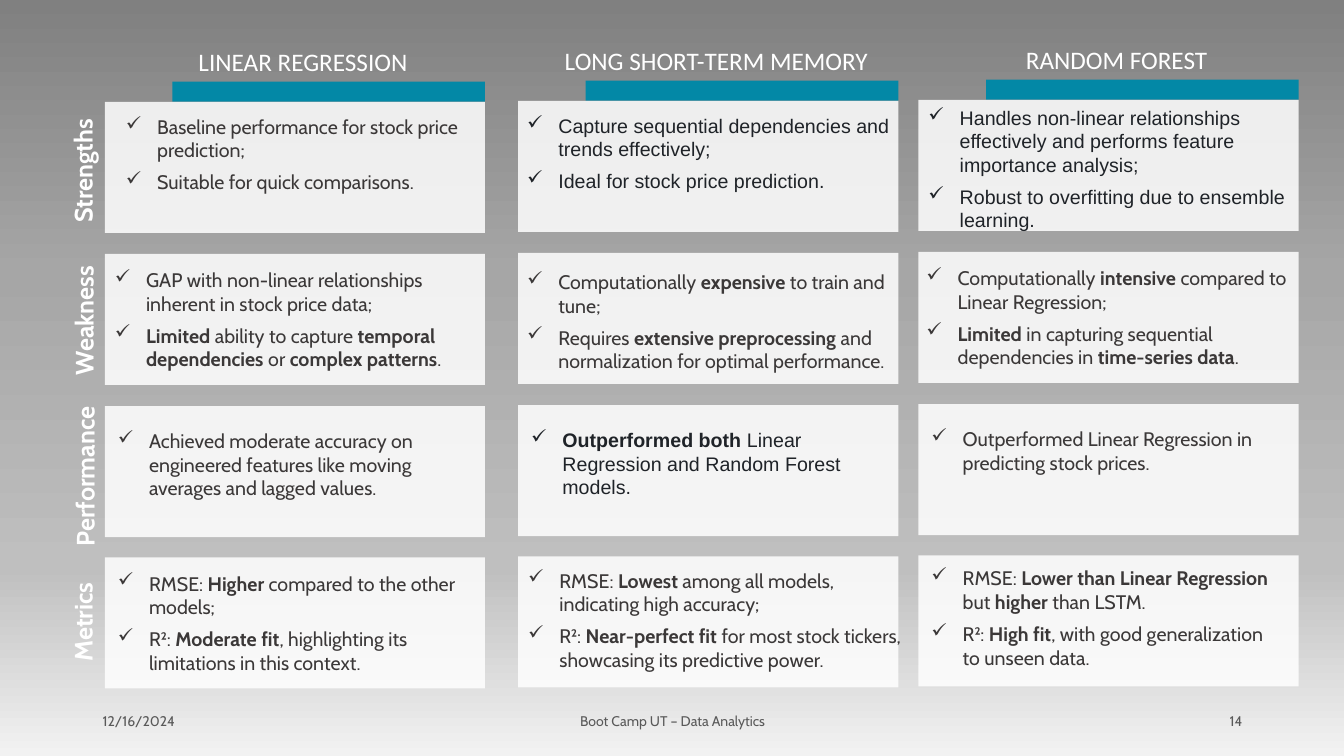
from lxml.etree import SubElement
from pptx import Presentation
from pptx.dml.color import RGBColor
from pptx.enum.shapes import MSO_SHAPE
from pptx.enum.text import MSO_ANCHOR, PP_ALIGN
from pptx.oxml.ns import qn
from pptx.util import Inches, Pt

COLORS = {
    "white": "FFFFFF",
    "teal": "0388A6",
    "body": "3B3838",
    "ink": "1F2328",
    "footer": "595959",
}
BACKGROUND_STOPS = [(0, "808080"), (36, "A6A6A6"), (75, "BFBFBF"), (100, "F2F2F2")]

presentation = Presentation()
presentation.slide_width = Inches(13.33)
presentation.slide_height = Inches(7.5)
slide = presentation.slides.add_slide(presentation.slide_layouts[6])

slide.background.fill.gradient()
gradient = slide._element.find(".//" + qn("a:gradFill"))
stops = gradient.find(qn("a:gsLst"))
for stop in list(stops):
    stops.remove(stop)
for position, color in BACKGROUND_STOPS:
    stop = SubElement(stops, qn("a:gs"), pos=str(position * 1000))
    SubElement(stop, qn("a:srgbClr"), val=color)
gradient.find(qn("a:lin")).set("ang", "5400000")


def add_block(left, top, width, height, color, alpha=None):
    block = slide.shapes.add_shape(
        MSO_SHAPE.RECTANGLE, Inches(left), Inches(top), Inches(width), Inches(height))
    block.shadow.inherit = False
    block.line.fill.background()
    block.fill.solid()
    block.fill.fore_color.rgb = RGBColor.from_string(COLORS[color])
    if alpha:
        tint = block._element.spPr.find(".//" + qn("a:srgbClr"))
        SubElement(tint, qn("a:alpha"), val=str(alpha * 1000))


def add_text(box, paragraphs, size, font, color, align=PP_ALIGN.LEFT, bold=False, bullet=None):
    textbox = slide.shapes.add_textbox(*[Inches(length) for length in box])
    frame = textbox.text_frame
    frame.word_wrap = True
    for index, text in enumerate(paragraphs):
        paragraph = frame.paragraphs[0] if index == 0 else frame.add_paragraph()
        if bullet:
            properties = paragraph._p.get_or_add_pPr()
            properties.set("marL", str(Inches(0.31)))
            properties.set("indent", str(-Inches(0.31)))
            SubElement(properties, qn("a:buChar"), char=bullet)
        if index:
            paragraph.space_before = Pt(6)
        paragraph.alignment = align
        for part, words in enumerate(text.split("**")):
            if words:
                run = paragraph.add_run()
                run.text = words
                run.font.size = Pt(size)
                run.font.name = font
                run.font.bold = bold or part % 2 == 1
                run.font.color.rgb = RGBColor.from_string(COLORS[color])
    return textbox


ROW_TOPS = [1.01, 2.52, 4.03, 5.53]
MODELS = [
    ("LINEAR REGRESSION", 1.04, [
        ((1.15, 1.09, 3.68, 1.19), "Cabin", [
            "Baseline performance for stock price prediction;",
            "Suitable for quick comparisons."]),
        ((1.04, 2.61, 3.85, 1.13), "Cabin", [
            "GAP with non-linear relationships inherent in stock price data;",
            "**Limited** ability to capture **temporal dependencies **or **complex patterns**."]),
        ((1.07, 4.21, 3.54, 0.81), "Cabin", [
            "Achieved moderate accuracy on engineered features like moving averages "
            "and lagged values."]),
        ((1.07, 5.62, 3.74, 1.13), "Cabin", [
            "RMSE: **Higher** compared to the other models;",
            "R²: **Moderate fit**, highlighting its limitations in this context."]),
    ]),
    ("LONG SHORT-TERM MEMORY", 5.14, [
        ((5.13, 1.08, 3.8, 0.89), "Arial", [
            "Capture sequential dependencies and trends effectively;",
            "Ideal for stock price prediction."]),
        ((5.13, 2.63, 3.87, 1.13), "Cabin", [
            "Computationally **expensive** to train and tune;",
            "Requires **extensive preprocessing **and normalization for optimal performance."]),
        ((5.17, 4.2, 3.54, 0.57), "Arial", [
            "**Outperformed both** Linear Regression and Random Forest models."]),
        ((5.14, 5.59, 3.92, 1.13), "Cabin", [
            "RMSE: **Lowest** among all models, indicating high accuracy;",
            "R²: **Near-perfect fit **for most stock tickers, showcasing its predictive power."]),
    ]),
    ("RANDOM FOREST", 9.11, [
        ((9.11, 1, 3.92, 1.36), "Arial", [
            "Handles non-linear relationships effectively and performs feature "
            "importance analysis;",
            "Robust to overfitting due to ensemble learning."]),
        ((9.09, 2.59, 3.87, 1.13), "Cabin", [
            "Computationally **intensive** compared to Linear Regression;",
            "**Limited** in capturing sequential dependencies in **time-series data**."]),
        ((9.14, 4.19, 3.54, 0.57), "Cabin", [
            "Outperformed Linear Regression in predicting stock prices."]),
        ((9.14, 5.57, 3.66, 1.13), "Cabin", [
            "RMSE: **Lower than Linear Regression **but **higher** than LSTM.",
            "R²: **High fit**, with good generalization to unseen data."]),
    ]),
]

for column, (model, left, findings) in enumerate(MODELS):
    rise = 0.01 * column
    heading = add_text((left + 0.07, 0.44 - rise, 3.79, 0.37), [model],
                       18, "Calibri", "white", PP_ALIGN.CENTER)
    heading.text_frame.paragraphs[0].line_spacing = 0.9
    add_block(left + 0.67, 0.81 - rise, 3.1, 0.2, "teal")
    for row_top, (box, font, points) in zip(ROW_TOPS, findings):
        add_block(left, row_top - rise, 3.77, 1.3, "white", alpha=85)
        ink = "ink" if font == "Arial" else "body"
        add_text(box, points, 14, font, ink, bullet="✓")

CRITERIA = [
    ("Strengths", 0.17, 1.46, 1.3, PP_ALIGN.LEFT),
    ("Weakness", 0.18, 2.97, 1.3, PP_ALIGN.LEFT),
    ("Performance", 0.01, 4.49, 1.66, PP_ALIGN.LEFT),
    ("Metrics", 0.17, 5.97, 1.3, PP_ALIGN.CENTER),
]
for criterion, left, top, width, align in CRITERIA:
    label = add_text((left, top, width, 0.4), [criterion], 18, "Cabin", "white", align, bold=True)
    label.rotation = 270

FOOTER = [
    ("12/16/2024", 0.92, 3, PP_ALIGN.LEFT),
    ("Boot Camp UT – Data Analytics", 4.42, 4.5, PP_ALIGN.CENTER),
    ("14", 9.42, 3, PP_ALIGN.RIGHT),
]
for note, left, width, align in FOOTER:
    footer = add_text((left, 6.95, width, 0.4), [note], 10, "Cabin", "footer", align)
    footer.text_frame.vertical_anchor = MSO_ANCHOR.MIDDLE

presentation.save("out.pptx")
